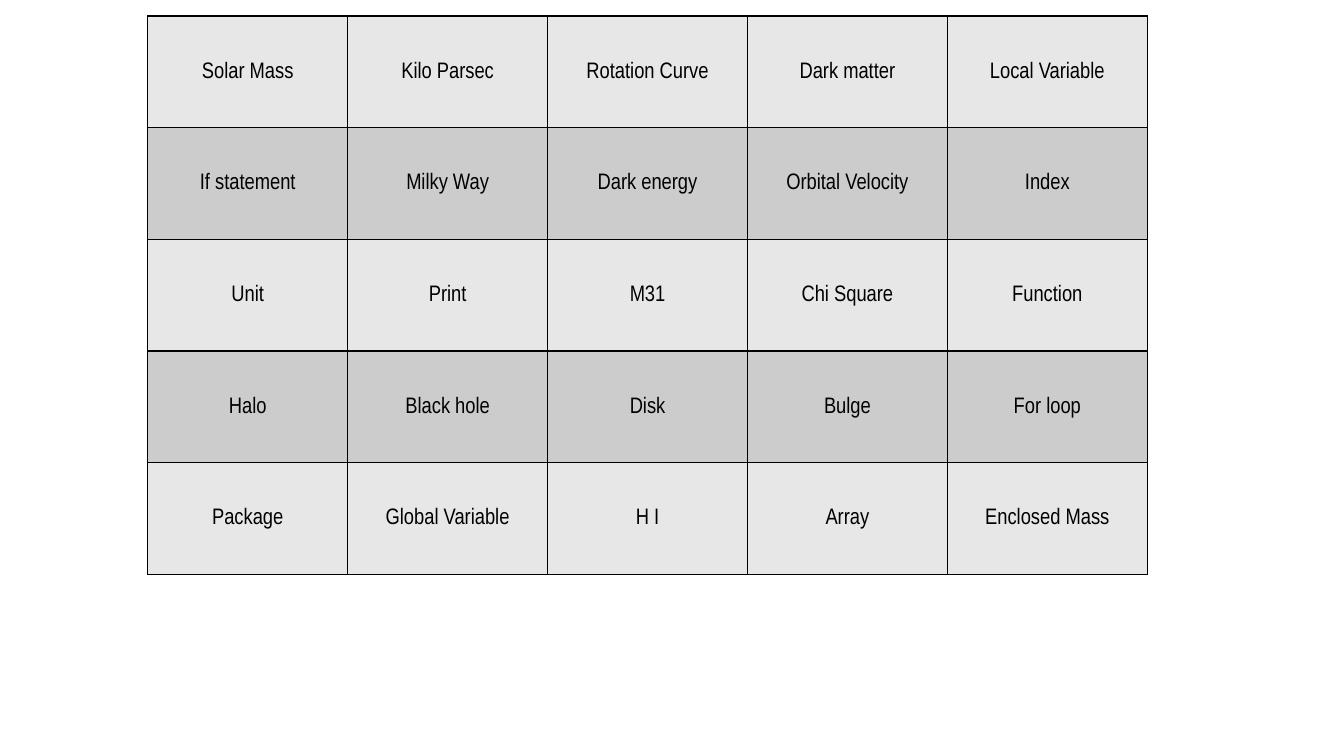
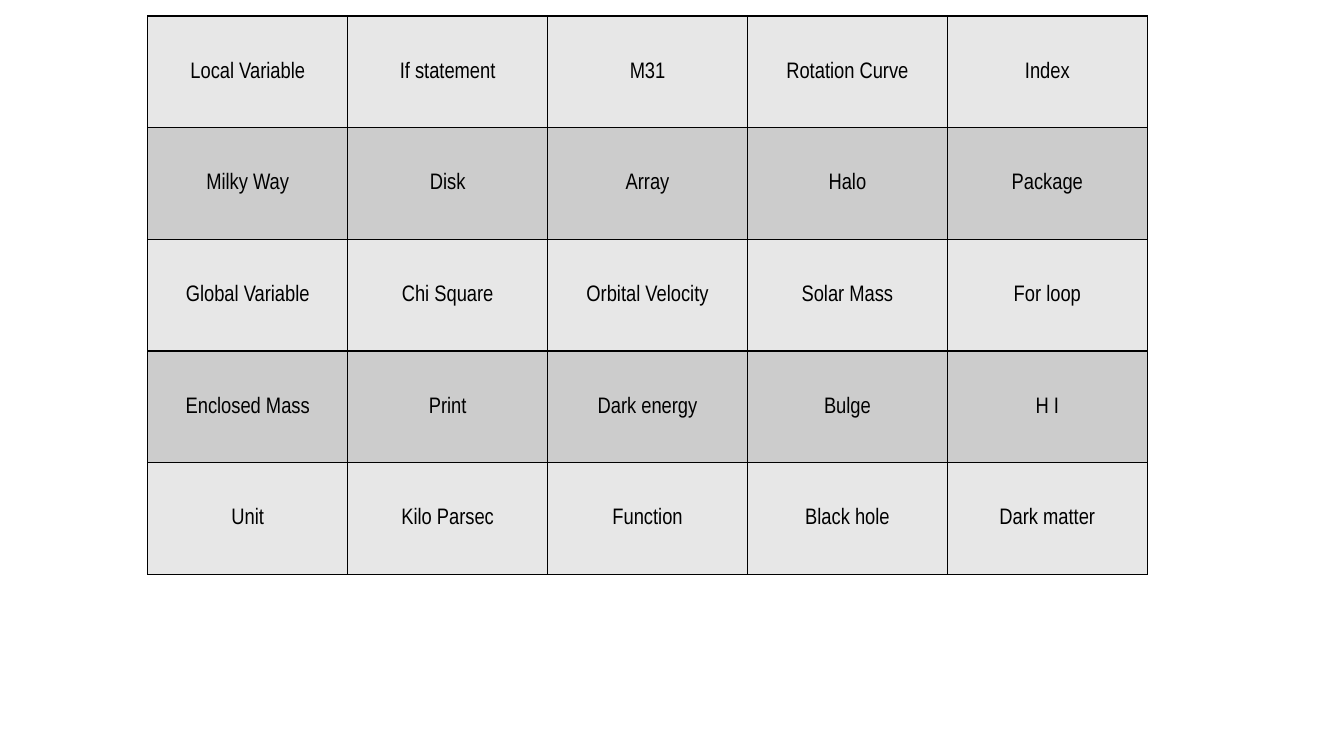
"""Build two bingo cards of astronomy and programming terms."""
from lxml import etree
from pptx import Presentation
from pptx import util as u
from pptx.dml.color import RGBColor
from pptx.enum import text
from pptx.oxml.ns import qn

PX = 7620
PAGE_WIDTH, PAGE_HEIGHT = 1600, 900
CARD_LEFT, CARD_TOP = 176, 19
CELL_WIDTH, CELL_HEIGHT = 238, 133
INSET = 1
BLANK_LAYOUT = 6

INK = RGBColor(0x00, 0x00, 0x00)
BANDS = (RGBColor(0xE7, 0xE7, 0xE7), RGBColor(0xCC, 0xCC, 0xCC))
FONT = "Arial Narrow"
FONT_SIZE = u.Pt(16)
BORDER_WIDTH = u.Pt(1)

CARDS = (
    (
        ("Solar Mass", "Kilo Parsec", "Rotation Curve", "Dark matter", "Local Variable"),
        ("If statement", "Milky Way", "Dark energy", "Orbital Velocity", "Index"),
        ("Unit", "Print", "M31", "Chi Square", "Function"),
        ("Halo", "Black hole", "Disk", "Bulge", "For loop"),
        ("Package", "Global Variable", "H I", "Array", "Enclosed Mass"),
    ),
    (
        ("Local Variable", "If statement", "M31", "Rotation Curve", "Index"),
        ("Milky Way", "Disk", "Array", "Halo", "Package"),
        ("Global Variable", "Chi Square", "Orbital Velocity", "Solar Mass", "For loop"),
        ("Enclosed Mass", "Print", "Dark energy", "Bulge", "H I"),
        ("Unit", "Kilo Parsec", "Function", "Black hole", "Dark matter"),
    ),
)


def px(length):
    return u.Emu(length * PX)


def add_borders(cell):
    properties = cell._tc.get_or_add_tcPr()
    for side in ("a:lnL", "a:lnR", "a:lnT", "a:lnB"):
        line = etree.SubElement(properties, qn(side), w=str(int(BORDER_WIDTH)))
        fill = etree.SubElement(line, qn("a:solidFill"))
        etree.SubElement(fill, qn("a:srgbClr"), val=str(INK))


def write_cell(cell, term, band):
    add_borders(cell)
    cell.fill.solid()
    cell.fill.fore_color.rgb = band
    cell.vertical_anchor = text.MSO_ANCHOR.MIDDLE
    cell.margin_left = cell.margin_right = cell.margin_top = px(INSET)
    cell.margin_bottom = 0
    para = cell.text_frame.paragraphs[0]
    para.alignment = text.PP_ALIGN.CENTER
    span = para.add_run()
    span.text = term
    span.font.name = FONT
    span.font.size = FONT_SIZE
    span.font.color.rgb = INK


def add_card(page, rows):
    row_count, column_count = len(rows), len(rows[0])
    frame = page.shapes.add_table(
        row_count, column_count, px(CARD_LEFT), px(CARD_TOP),
        px(CELL_WIDTH * column_count), px(CELL_HEIGHT * row_count))
    table = frame.table
    table.first_row = table.horz_banding = False
    for row_index, terms in enumerate(rows):
        band = BANDS[row_index % len(BANDS)]
        for column_index, term in enumerate(terms):
            write_cell(table.cell(row_index, column_index), term, band)


def main():
    deck = Presentation()
    deck.slide_width, deck.slide_height = px(PAGE_WIDTH), px(PAGE_HEIGHT)
    for rows in CARDS:
        page = deck.slides.add_slide(deck.slide_layouts[BLANK_LAYOUT])
        add_card(page, rows)
    deck.save("out.pptx")


if __name__ == "__main__":
    main()
